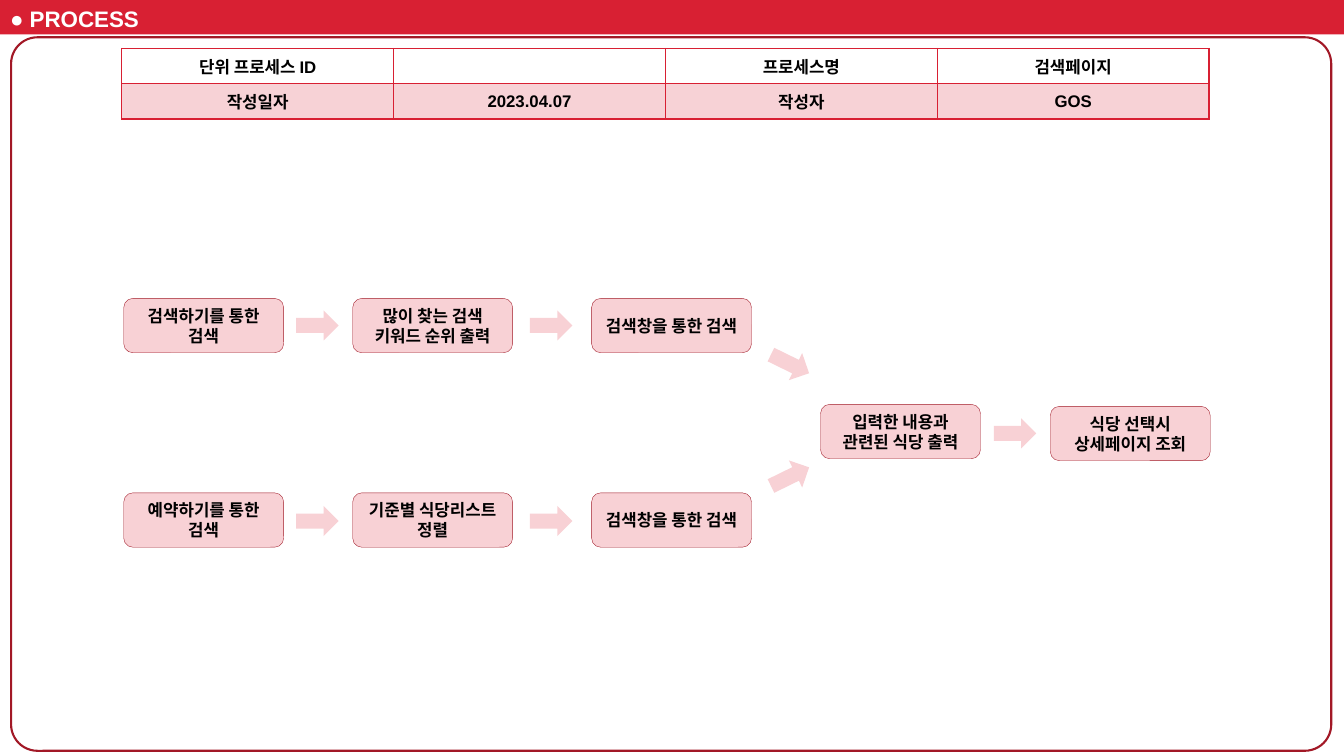
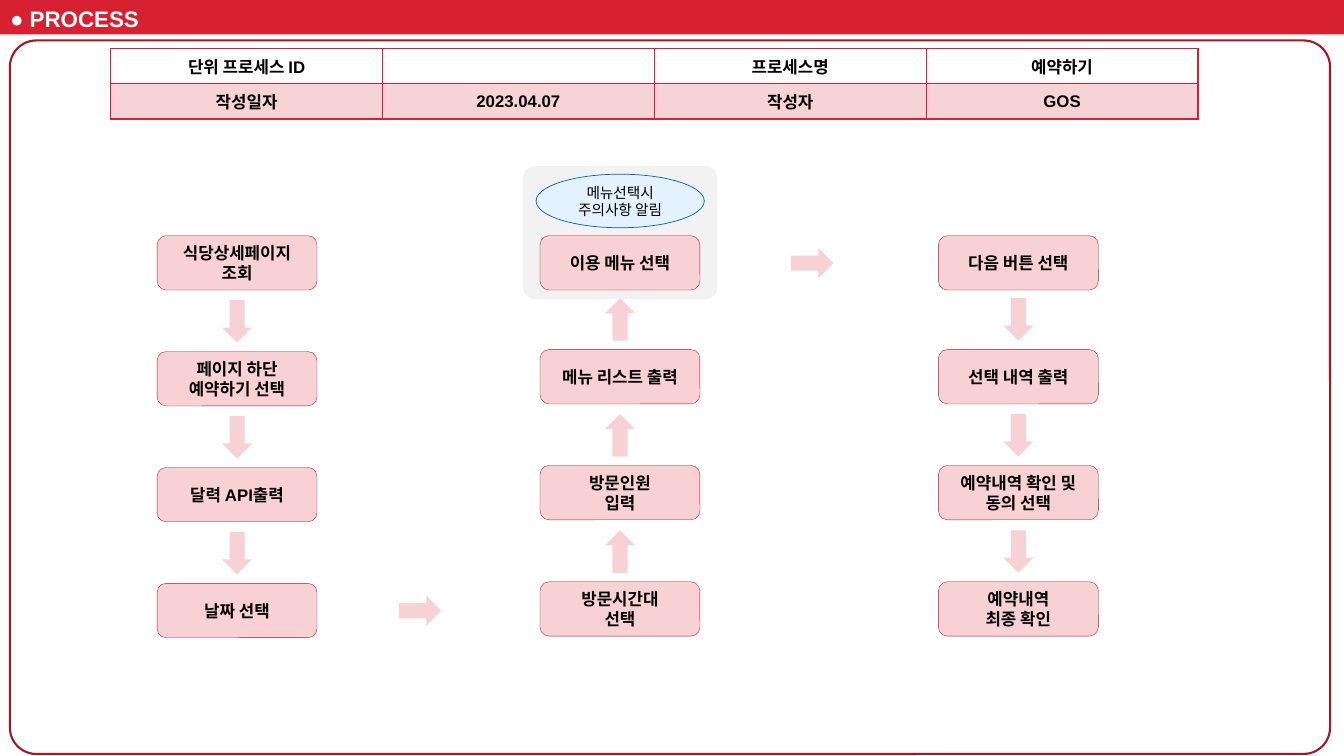
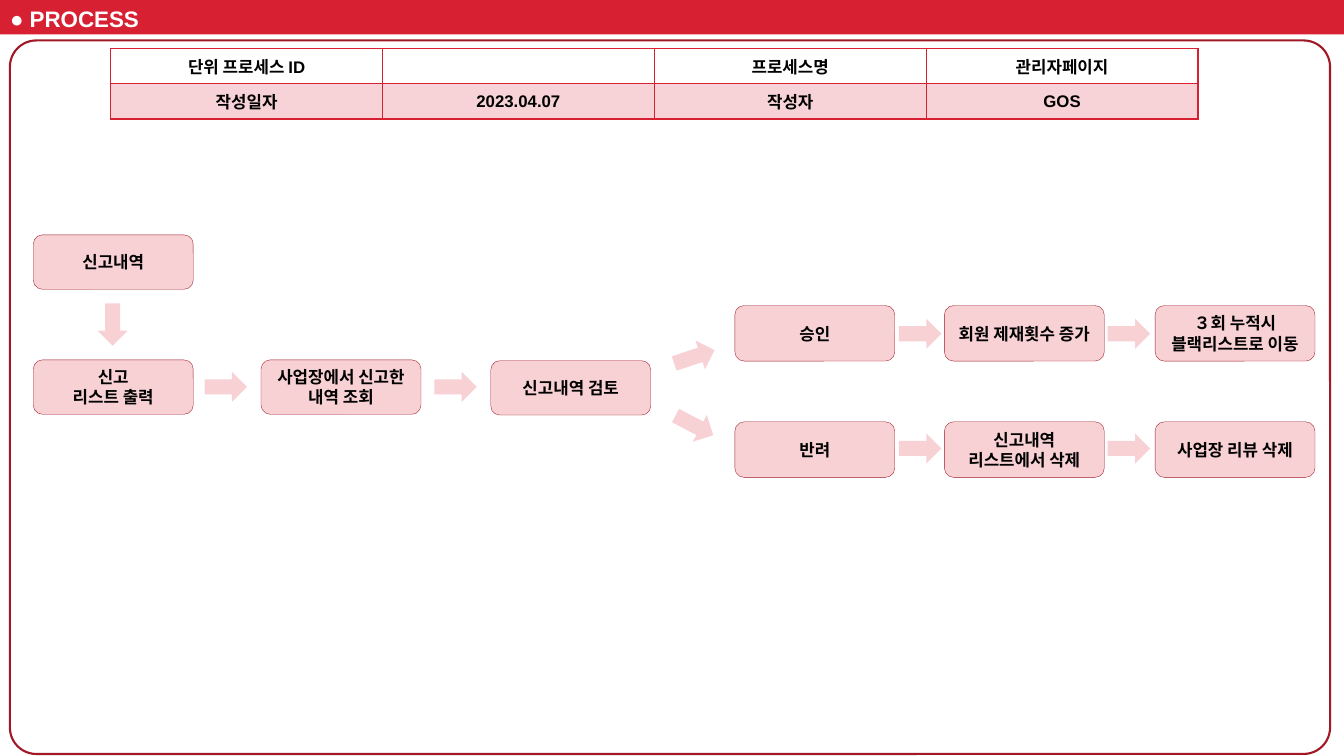
from lxml import etree
from pptx import Presentation
from pptx.dml.color import RGBColor
from pptx.enum.shapes import MSO_SHAPE
from pptx.enum.text import MSO_ANCHOR, MSO_AUTO_SIZE, PP_ALIGN
from pptx.oxml.ns import qn
from pptx.util import Cm, Pt

RECTANGLE = MSO_SHAPE.RECTANGLE
ROUNDED = MSO_SHAPE.ROUNDED_RECTANGLE
OVAL = MSO_SHAPE.OVAL
DOWN_ARROW = MSO_SHAPE.DOWN_ARROW
TOP, MIDDLE = MSO_ANCHOR.TOP, MSO_ANCHOR.MIDDLE
LEFT, CENTER = PP_ALIGN.LEFT, PP_ALIGN.CENTER
NO_FIT = MSO_AUTO_SIZE.NONE

DOWN, UP, RIGHT = 0, 180, 270
PAGE_WIDTH, PAGE_HEIGHT = 33.87, 19.05
STEP_WIDTH, STEP_HEIGHT, TALL_STEP = 4.03, 1.37, 1.4
ARROW_WIDTH, ARROW_HEIGHT = 0.76, 1.07
ARROW_RISE = 0.76


def color(code):
    return RGBColor.from_string(code)


class ProcessDeck:
    """Holds the deck style and the page being drawn."""

    font = "Arial"
    red, pink, pale_red = "D82033", "F8D1D5", "F7D2D6"
    frame_line, step_line = "A21826", "A01826"
    black, white, gray = "000000", "FFFFFF", "F2F2F2"
    sky, blue = "E4F2FF", "015FBB"

    def __init__(self):
        self.deck = Presentation()
        self.deck.slide_width = Cm(PAGE_WIDTH)
        self.deck.slide_height = Cm(PAGE_HEIGHT)
        self.layout = self.deck.slide_layouts[5]
        self.page = None

    def add_page(self, process_name, table_left=2.79, frame_left=0.25, frame_top=1.02):
        self.page = self.deck.slides.add_slide(self.layout)
        if len(self.deck.slides) == 1:
            band = self.shape(RECTANGLE, 0, 0, PAGE_WIDTH, 0.87, self.red)
            self.layout.shapes.element.append(band.element)
        self.title("● PROCESS")
        self.table(table_left, [["단위 프로세스 ID", "", "프로세스명", process_name],
                                ["작성일자", "2023.04.07", "작성자", "GOS"]])
        frame = self.shape(ROUNDED, frame_left, frame_top, 33.27, 17.98,
                           line=self.frame_line, weight=1.5)
        frame.adjustments[0] = 0.037

    def title(self, text):
        title = self.page.shapes.title
        title.left, title.top, title.width, title.height = Cm(0), Cm(0), Cm(3.78), Cm(0.94)
        title.text_frame.auto_size = NO_FIT
        title.text_frame.vertical_anchor = TOP
        self.fill_text(title.text_frame, text, 16, self.white, align=LEFT)
        title.text_frame.word_wrap = False

    def fill_text(self, frame, text, size=12, ink=black, bold=True, align=CENTER):
        frame.text = text
        frame.word_wrap = True
        for para in frame.paragraphs:
            para.alignment = align
            for span in para.runs:
                span.font.name, span.font.size, span.font.bold = self.font, Pt(size), bold
                span.font.color.rgb = color(ink)

    def shape(self, kind, left, top, width, height, fill=None, line=None, weight=0.25):
        box = self.page.shapes.add_shape(kind, Cm(left), Cm(top), Cm(width), Cm(height))
        box.shadow.inherit = False
        if fill:
            box.fill.solid()
            box.fill.fore_color.rgb = color(fill)
        else:
            box.fill.background()
        if line:
            box.line.color.rgb = color(line)
            box.line.width = Pt(weight)
        else:
            box.line.fill.background()
        return box

    def step(self, left, top, text, height=STEP_HEIGHT):
        box = self.shape(ROUNDED, left, top, STEP_WIDTH, height, self.pink, self.step_line)
        box.text_frame.margin_left = box.text_frame.margin_right = Cm(0.15)
        box.text_frame.vertical_anchor = MIDDLE
        self.fill_text(box.text_frame, text)

    def arrow(self, center_x, center_y, turn=RIGHT):
        arrow = self.shape(DOWN_ARROW, center_x - ARROW_WIDTH / 2, center_y - ARROW_HEIGHT / 2,
                           ARROW_WIDTH, ARROW_HEIGHT, self.pink)
        arrow.rotation = turn

    def column(self, left, tops, texts, turn):
        for top, text in zip(tops, texts):
            self.step(left, top, text)
        for top in tops[1:]:
            self.arrow(left + STEP_WIDTH / 2, top - ARROW_RISE, turn)

    def notice(self, left, top, text):
        oval = self.shape(OVAL, left, top, 4.24, 1.35, self.sky, self.blue, 0.5)
        oval.text_frame.vertical_anchor = MIDDLE
        self.fill_text(oval.text_frame, text, 10.5, bold=False)

    def table(self, left, rows):
        table = self.page.shapes.add_table(len(rows), len(rows[0]), Cm(left), Cm(1.22),
                                           Cm(27.4), Cm(1.78)).table
        table.first_row = table.horz_banding = False
        for row_number, texts in enumerate(rows):
            table.rows[row_number].height = Cm(0.89)
            for column_number, text in enumerate(texts):
                cell = table.cell(row_number, column_number)
                cell.margin_top = cell.margin_bottom = 0
                cell.vertical_anchor = MIDDLE
                self.fill_text(cell.text_frame, text)
                self.borders(cell)
                if row_number:
                    cell.fill.solid()
                    cell.fill.fore_color.rgb = color(self.pale_red)
                else:
                    cell.fill.background()

    def borders(self, cell):
        properties = cell._tc.get_or_add_tcPr()
        for side in ("a:lnL", "a:lnR", "a:lnT", "a:lnB"):
            line = etree.SubElement(properties, qn(side), w=str(Pt(1)))
            fill = etree.SubElement(line, qn("a:solidFill"))
            etree.SubElement(fill, qn("a:srgbClr"), val=self.red)


def search_page(deck):
    deck.add_page("검색페이지", 3.07, 0.28, 0.94)
    rows = [(7.52, 8.2, ["검색하기를 통한 검색", "많이 찾는 검색 키워드 순위 출력", "검색창을 통한 검색"]),
            (12.42, 13.13, ["예약하기를 통한 검색", "기준별 식당리스트 정렬", "검색창을 통한 검색"])]
    for top, arrow_y, texts in rows:
        for left, text in zip((3.12, 8.89, 14.91), texts):
            deck.step(left, top, text)
        for arrow_x in (8, 13.89):
            deck.arrow(arrow_x, arrow_y)
    deck.arrow(19.91, 9.17, 296.1)
    deck.arrow(19.91, 12.01, 243.9)
    deck.step(20.68, 10.19, "입력한 내용과 관련된 식당 출력")
    deck.arrow(25.58, 10.92)
    deck.step(26.47, 10.24, "식당 선택시 상세페이지 조회")


def booking_page(deck):
    deck.add_page("예약하기")
    panel = deck.shape(ROUNDED, 13.18, 4.19, 4.9, 3.35, deck.gray)
    panel.adjustments[0] = 0.09
    deck.notice(13.51, 4.39, "메뉴선택시 주의사항 알림")
    tops = [5.94, 8.81, 11.73, 14.66]
    deck.column(3.96, [5.94 + 2.92 * number for number in range(4)],
                ["식당상세페이지\n조회", "페이지 하단\n예약하기 선택", "달력 API출력", "날짜 선택"], DOWN)
    deck.column(13.61, tops,
                ["이용 메뉴 선택", "메뉴 리스트 출력", "방문인원\n입력", "방문시간대\n선택"], UP)
    deck.column(23.65, tops,
                ["다음 버튼 선택", "선택 내역 출력", "예약내역 확인 및 동의 선택", "예약내역\n최종 확인"], DOWN)
    deck.arrow(10.59, 15.39)
    deck.arrow(20.47, 6.63)


def admin_page(deck):
    deck.add_page("관리자페이지")
    deck.step(0.84, 5.92, "신고내역")
    deck.arrow(2.84, 8.18, DOWN)
    deck.step(0.84, 9.07, "신고\n리스트 출력")
    deck.step(6.58, 9.07, "사업장에서 신고한 내역 조회")
    deck.step(12.37, 9.09, "신고내역 검토")
    for arrow_x in (5.69, 11.48):
        deck.arrow(arrow_x, 9.75)
    deck.arrow(17.5, 8.99, 251.7)
    deck.arrow(17.5, 10.72, 297.5)
    rows = [(7.7, 8.41, ["승인", "회원 제재횟수 증가", "３회 누적시 블랙리스트로 이동"]),
            (10.63, 11.3, ["반려", "신고내역 리스트에서 삭제", "사업장 리뷰 삭제"])]
    for top, arrow_y, texts in rows:
        for left, text in zip((18.52, 23.8, 29.11), texts):
            deck.step(left, top, text, TALL_STEP)
        for arrow_x in (23.19, 28.45):
            deck.arrow(arrow_x, arrow_y)


def main():
    process = ProcessDeck()
    search_page(process)
    booking_page(process)
    admin_page(process)
    process.deck.save("out.pptx")


if __name__ == "__main__":
    main()
